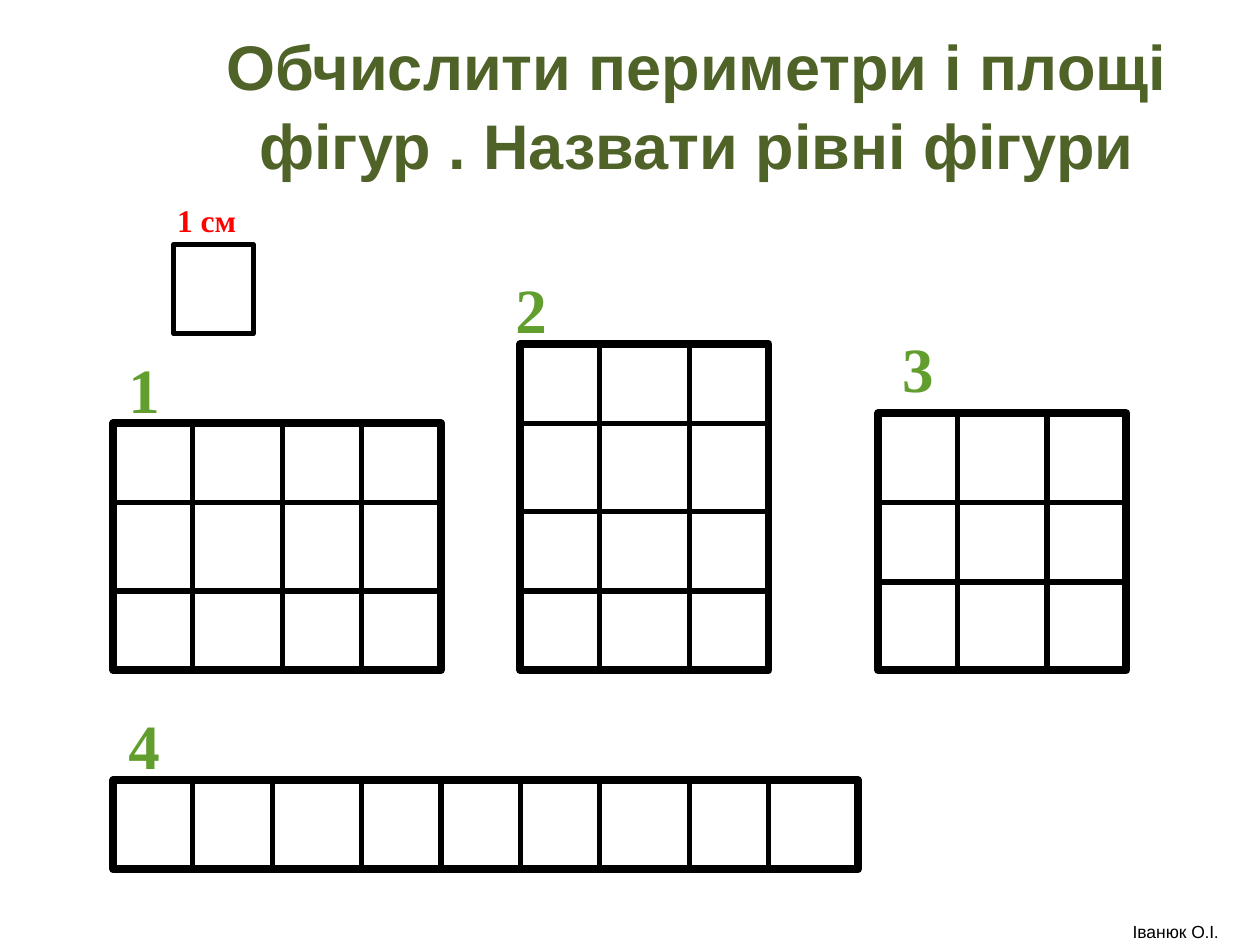
from lxml import etree
from pptx import Presentation
from pptx.dml.color import RGBColor
from pptx.enum.shapes import MSO_CONNECTOR, MSO_SHAPE
from pptx.enum.text import MSO_ANCHOR, MSO_AUTO_SIZE, PP_ALIGN
from pptx.oxml.ns import qn
from pptx.util import Inches, Pt

RECTANGLE = MSO_SHAPE.RECTANGLE
STRAIGHT = MSO_CONNECTOR.STRAIGHT
CENTER = PP_ALIGN.CENTER
MIDDLE = MSO_ANCHOR.MIDDLE
NO_AUTOFIT = MSO_AUTO_SIZE.NONE
GROW = MSO_AUTO_SIZE.SHAPE_TO_FIT_TEXT

COLORS = {"title": "4F6228", "number": "619E2E", "unit": "FF0000", "ink": "000000"}
SANS, SERIF, PUNCTUATION = "Arial", "Times New Roman", "TeX Gyre Pagella"

TITLE = "Обчислити периметри і площі фігур . Назвати рівні фігури"
UNIT_LABEL = "1 см"
UNIT_SQUARE = (1.38, 1.94, 0.63, 0.71)
AUTHOR = [("Іванюк О", SANS), (".", PUNCTUATION), ("І", SANS), (".", PUNCTUATION)]

# Column and row edges of each figure, and the corner of its number
FIGURES = [
    {"number": "1", "label": (0.83, 2.73),
     "columns": [0.9, 1.53, 2.24, 2.87, 3.5], "rows": [3.36, 3.99, 4.69, 5.32]},
    {"number": "2", "label": (3.9, 2.1),
     "columns": [4.13, 4.76, 5.47, 6.1], "rows": [2.73, 3.36, 4.06, 4.69, 5.32]},
    {"number": "3", "label": (6.97, 2.57),
     "columns": [6.97, 7.6, 8.31, 8.94], "rows": [3.28, 3.99, 4.62, 5.32]},
    {"number": "4", "label": (0.83, 5.56),
     "columns": [0.9, 1.53, 2.16, 2.87, 3.5, 4.13, 4.76, 5.47, 6.1, 6.81],
     "rows": [6.19, 6.9]},
]
OUTLINE_WIDTH, GRID_WIDTH = 4.5, 3


def rgb(name):
    return RGBColor.from_string(COLORS[name])


def add_run(paragraph, text, font, size, color, bold=True):
    run = paragraph.add_run()
    run.text = text
    run.font.name = font
    run.font.size = Pt(size)
    run.font.bold = bold
    run.font.color.rgb = rgb(color)


def add_text_box(slide, box, runs, size, color, bold=True, space_before=0, auto_size=GROW):
    """Add a centred one-line text box; runs are (text, font) pairs."""
    shape = slide.shapes.add_textbox(*map(Inches, box))
    frame = shape.text_frame
    frame.word_wrap = True
    frame.auto_size = auto_size
    paragraph = frame.paragraphs[0]
    paragraph.alignment = CENTER
    paragraph.space_before = Pt(space_before)
    for text, font in runs:
        add_run(paragraph, text, font, size, color, bold)


def add_outline(shapes, box, width):
    shape = shapes.add_shape(RECTANGLE, *map(Inches, box))
    shape.shadow.inherit = False
    shape.fill.background()
    shape.line.color.rgb = rgb("ink")
    shape.line.width = Pt(width)


def add_grid_line(shapes, *ends):
    line = shapes.add_connector(STRAIGHT, *map(Inches, ends))
    line.line.color.rgb = rgb("ink")
    line.line.width = Pt(GRID_WIDTH)
    etree.SubElement(line._element.spPr, qn("a:effectLst"))


def add_figure(slide, columns, rows):
    left, right, top, bottom = columns[0], columns[-1], rows[0], rows[-1]
    shapes = slide.shapes.add_group_shape().shapes
    add_outline(shapes, (left, top, right - left, bottom - top), OUTLINE_WIDTH)
    for x in columns[1:-1]:
        add_grid_line(shapes, x, top, x, bottom)
    for y in rows[1:-1]:
        add_grid_line(shapes, left, y, right, y)


def add_title(slide):
    title = slide.shapes.title
    title.left, title.top = Inches(1.56), Inches(0.3)
    title.width, title.height = Inches(7.94), Inches(1.03)
    frame = title.text_frame
    frame.word_wrap = True
    frame.auto_size = NO_AUTOFIT
    frame.vertical_anchor = MIDDLE
    paragraph = frame.paragraphs[0]
    paragraph.alignment = CENTER
    paragraph.line_spacing = 1.05
    add_run(paragraph, TITLE, SANS, 36, "title")


def main():
    presentation = Presentation()
    presentation.slide_width, presentation.slide_height = Inches(10), Inches(7.5)
    slide = presentation.slides.add_slide(presentation.slide_layouts[5])

    add_title(slide)
    for figure in FIGURES:
        add_figure(slide, figure["columns"], figure["rows"])
    add_outline(slide.shapes, UNIT_SQUARE, GRID_WIDTH)
    add_text_box(slide, (1.14, 1.55, 1, 0.4), [(UNIT_LABEL, SERIF)], 18, "unit",
                 space_before=11.2)
    for figure in FIGURES:
        add_text_box(slide, (*figure["label"], 0.63, 0.7), [(figure["number"], SERIF)],
                     36, "number", space_before=22.5)
    add_text_box(slide, (8.66, 7.26, 1.34, 0.24), AUTHOR, 10, "ink", bold=False,
                 auto_size=NO_AUTOFIT)
    presentation.save("out.pptx")


if __name__ == "__main__":
    main()
